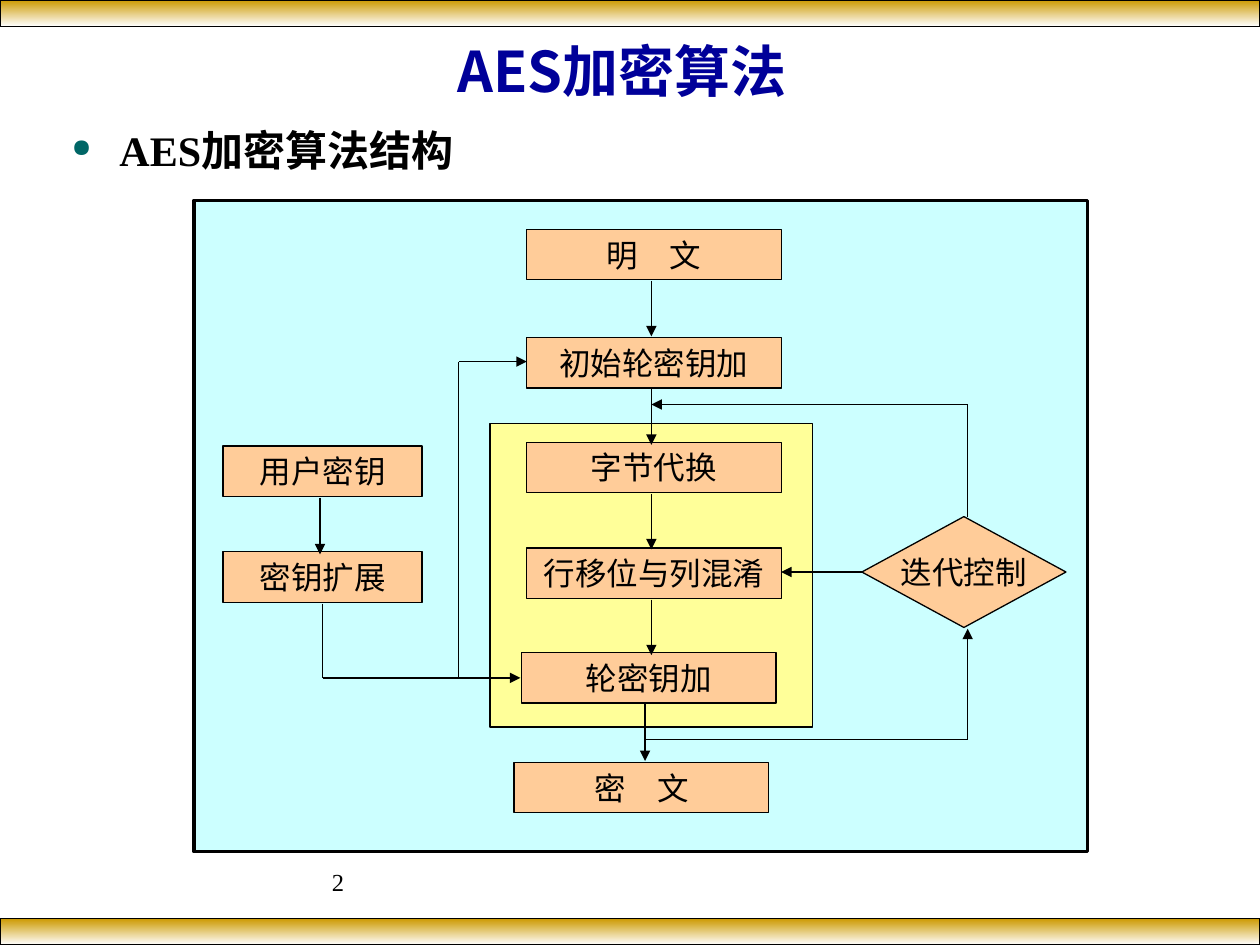
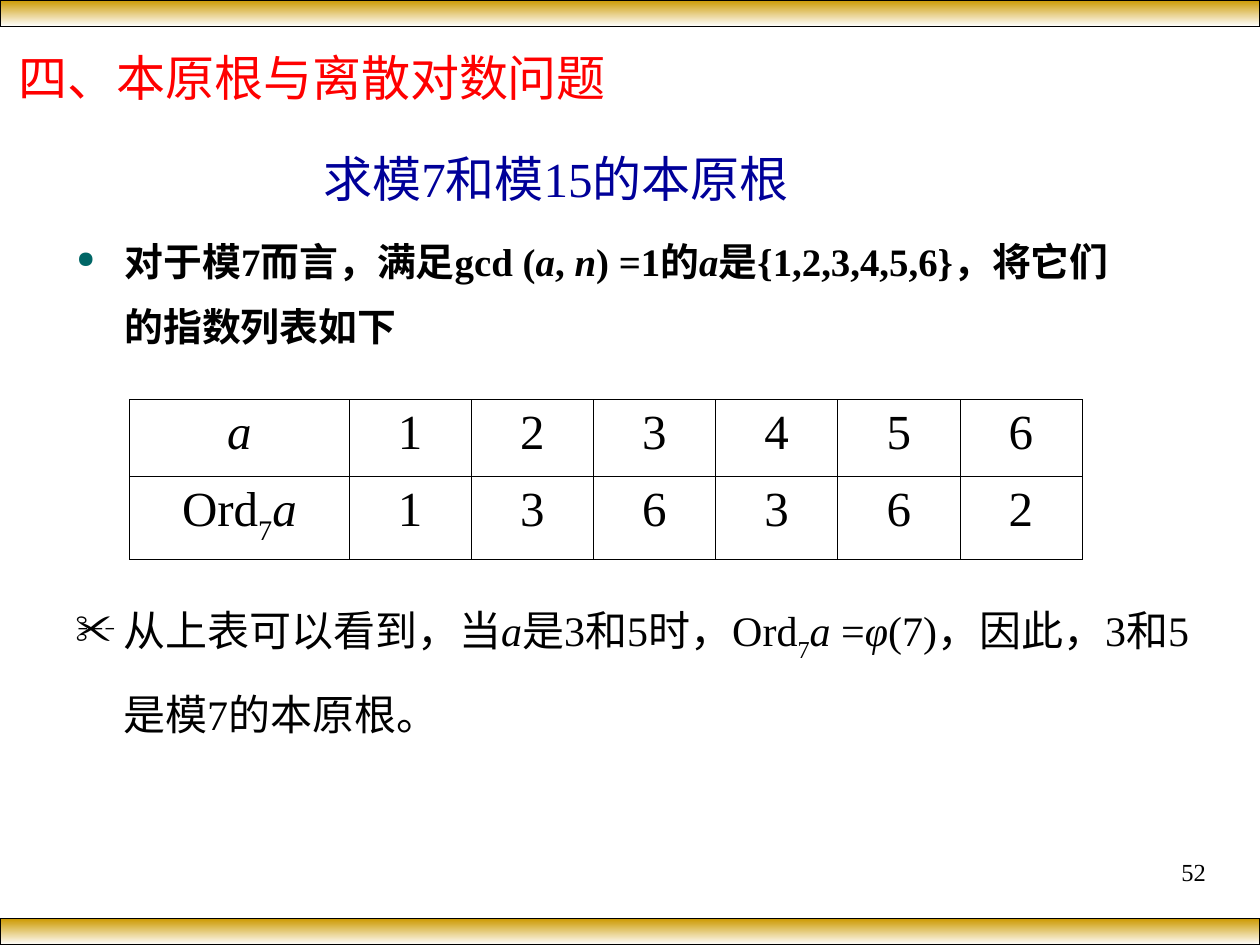
from itertools import pairwise

from lxml.etree import SubElement
from pptx import Presentation
from pptx.dml.color import RGBColor
from pptx.enum.shapes import MSO_CONNECTOR, MSO_SHAPE
from pptx.enum.text import MSO_ANCHOR, PP_ALIGN
from pptx.oxml import parse_xml
from pptx.oxml.ns import nsdecls, qn
from pptx.util import Inches, Pt

COLORS = {
    "gold": "CC9900", "white": "FFFFFF", "black": "000000", "navy": "000099",
    "red": "FF0000", "teal": "006666", "canvas": "CCFFFF", "round": "FFFF99",
    "step": "FFCC99",
}
SERIF, SANS = "Times New Roman", "Noto Sans CJK SC"

# Encryption flow: (text, left, top, width)
STEP_H = 0.4
STEPS = [
    ("明　文", 4.18, 1.82, 2.02),
    ("初始轮密钥加", 4.18, 2.68, 2.02),
    ("字节代换", 4.18, 3.51, 2.02),
    ("行移位与列混淆", 4.18, 4.35, 2.02),
    ("轮密钥加", 4.14, 5.18, 2.02),
    ("密　文", 4.08, 6.05, 2.02),
    ("用户密钥", 1.77, 3.54, 1.58),
    ("密钥扩展", 1.77, 4.38, 1.58),
]
# Each route is a list of corner points; True puts an arrowhead at its end
ROUTES = [
    ([(5.17, 2.23), (5.17, 2.67)], True),
    ([(5.17, 3.09), (5.17, 3.53)], True),
    ([(5.17, 3.92), (5.17, 4.36)], True),
    ([(5.17, 4.76), (5.17, 5.2)], True),
    ([(5.12, 5.59), (5.12, 6.04)], True),
    ([(2.54, 3.95), (2.54, 4.4)], True),
    ([(2.56, 4.79), (2.56, 5.38), (4.13, 5.38)], True),
    ([(3.64, 5.38), (3.64, 2.87), (4.18, 2.87)], True),
    ([(5.12, 5.87), (7.68, 5.87), (7.68, 4.99)], True),
    ([(7.68, 4.1), (7.68, 3.21), (5.17, 3.21)], True),
    ([(6.84, 4.54), (6.2, 4.54)], True),
]

# Rich text: (text, style) with i for italic, s for subscript
ORDERS_INTRO = [
    ("对于模7而言，满足gcd (", ""), ("a", "i"), (", ", ""), ("n", "i"),
    (") =1的", ""), ("a", "i"), ("是{1,2,3,4,5,6}，将它们的指数列表如下", ""),
]
ORD_A = [("Ord", ""), ("7", "s"), ("a", "i")]
ORDERS = [
    [[("a", "i")], *"123456"],
    [ORD_A, *"136362"],
]
CONCLUSION = [
    ("从上表可以看到，当", ""), ("a", "i"), ("是3和5时，", ""), *ORD_A,
    (" =", ""), ("φ", "i"), ("(7)，因此，3和5是模7的本原根。", ""),
]


def rgb(name):
    return RGBColor.from_string(COLORS[name])


def write(tf, text, size, color="black", font=SERIF, bold=False,
          align=PP_ALIGN.LEFT, bullet=None, spacing=None):
    """Fill the first paragraph; bullet is (character, colour, percent size)."""
    p = tf.paragraphs[0]
    p.alignment = align
    if spacing:
        p.line_spacing = spacing
    if bullet:
        char, bullet_color, percent = bullet
        pPr = p._p.get_or_add_pPr()
        pPr.set("marL", str(Inches(0.38)))
        pPr.set("indent", str(-Inches(0.38)))
        clr = SubElement(pPr, qn("a:buClr"))
        SubElement(clr, qn("a:srgbClr"), val=COLORS[bullet_color])
        SubElement(pPr, qn("a:buSzPct"), val=str(percent * 1000))
        SubElement(pPr, qn("a:buChar"), char=char)
    for part, style in [(text, "")] if isinstance(text, str) else text:
        r = p.add_run()
        r.text = part
        r.font.size, r.font.bold, r.font.italic = Pt(size), bold, style == "i"
        r.font.color.rgb = rgb(color)
        r.font.name = font
        rPr = r._r.get_or_add_rPr()
        SubElement(rPr, qn("a:ea"), typeface=SANS)
        if style == "s":
            rPr.set("baseline", "-30000")


def add_text(s, box, text, size, anchor=MSO_ANCHOR.TOP, **style):
    tf = s.shapes.add_textbox(*map(Inches, box)).text_frame
    tf.word_wrap = True
    tf.vertical_anchor = anchor
    write(tf, text, size, **style)


def add_box(s, box, fill=None, line=0.75, kind=MSO_SHAPE.RECTANGLE, text=None):
    sp = s.shapes.add_shape(kind, *map(Inches, box))
    sp.shadow.inherit = False
    sp.line.color.rgb = rgb("black")
    sp.line.width = Pt(line)
    if fill:
        sp.fill.solid()
        sp.fill.fore_color.rgb = rgb(fill)
    if text:
        tf = sp.text_frame
        tf.word_wrap = False
        tf.vertical_anchor = MSO_ANCHOR.MIDDLE
        tf.margin_left = tf.margin_right = tf.margin_top = tf.margin_bottom = 0
        write(tf, text, 18, align=PP_ALIGN.CENTER)
    return sp


def add_route(s, points, arrow):
    for start, end in pairwise(points):
        line = s.shapes.add_connector(
            MSO_CONNECTOR.STRAIGHT, *map(Inches, start + end))
        line.line.color.rgb = rgb("black")
        line.line.width = Pt(0.75)
        if arrow and end == points[-1]:
            SubElement(line.line._get_or_add_ln(), qn("a:tailEnd"), type="triangle")
        SubElement(line._element.spPr, qn("a:effectLst"))


def add_slide(prs, number, number_box):
    """Blank slide with the two gold bands and its page number."""
    s = prs.slides.add_slide(prs.slide_layouts[6])
    for top in (0, 7.29):
        band = add_box(s, (0, top, 10, 0.21))
        band.fill.gradient()
        band.fill.gradient_angle = 270
        for stop, color in zip(band.fill.gradient_stops, ("gold", "white")):
            stop.color.rgb = rgb(color)
    add_text(s, number_box, number, 14, align=PP_ALIGN.RIGHT)
    return s


def add_orders_table(s):
    frame = s.shapes.add_table(2, 7, *map(Inches, (1.03, 3.17, 7.56, 1.27)))
    table = frame.table
    table.first_row = table.horz_banding = False
    for i, column in enumerate(table.columns):
        column.width = Inches(0.97 if i else 1.74)
    for row, height, values in zip(table.rows, (0.61, 0.66), ORDERS):
        row.height = Inches(height)
        for cell, value in zip(row.cells, values):
            write(cell.text_frame, value, 28, align=PP_ALIGN.CENTER)
            tcPr = cell._tc.get_or_add_tcPr()
            for side in "LRTB":
                tcPr.append(parse_xml(
                    f'<a:ln{side} {nsdecls("a")} w="{Pt(0.45)}"><a:solidFill>'
                    f'<a:srgbClr val="{COLORS["black"]}"/></a:solidFill></a:ln{side}>'))
            cell.fill.background()


def build_structure(prs):
    s = add_slide(prs, "2", (0.5, 6.83, 2.33, 0.52))
    add_text(s, (0.27, 0.25, 9.34, 0.62), "AES加密算法", 32, MSO_ANCHOR.MIDDLE,
             color="navy", font=SANS, bold=True, align=PP_ALIGN.CENTER)
    add_text(s, (0.47, 0.94, 4.63, 0.5), "AES加密算法结构", 24, bold=True,
             bullet=("●", "teal", 60))
    add_box(s, (1.54, 1.59, 7.09, 5.17), "canvas", line=2)
    add_box(s, (3.89, 3.36, 2.56, 2.41), "round")
    for text, left, top, width in STEPS:
        add_box(s, (left, top, width, STEP_H), "step", text=text)
    add_box(s, (6.84, 4.1, 1.62, 0.88), "step",
            kind=MSO_SHAPE.FLOWCHART_DECISION, text="迭代控制")
    for points, arrow in ROUTES:
        add_route(s, points, arrow)


def build_primitive_roots(prs):
    s = add_slide(prs, "52", (7.17, 6.75, 2.5, 0.52))
    add_text(s, (0.05, 0.21, 9, 0.8), "四、本原根与离散对数问题", 28,
             MSO_ANCHOR.MIDDLE, color="red", font=SANS)
    add_text(s, (1.14, 1.13, 6.63, 0.56), "求模7和模15的本原根 ", 28,
             MSO_ANCHOR.MIDDLE, color="navy", align=PP_ALIGN.CENTER)
    add_text(s, (0.51, 1.69, 8.6, 1.13), ORDERS_INTRO, 22.2, bold=True,
             bullet=("●", "teal", 60), spacing=1.4)
    add_orders_table(s)
    add_text(s, (0.5, 4.51, 9.13, 1.18), CONCLUSION, 24,
             bullet=("✂", "black", 100), spacing=1.5)


def main():
    prs = Presentation()
    prs.slide_width, prs.slide_height = Inches(10), Inches(7.5)
    build_structure(prs)
    build_primitive_roots(prs)
    prs.save("out.pptx")


if __name__ == "__main__":
    main()
